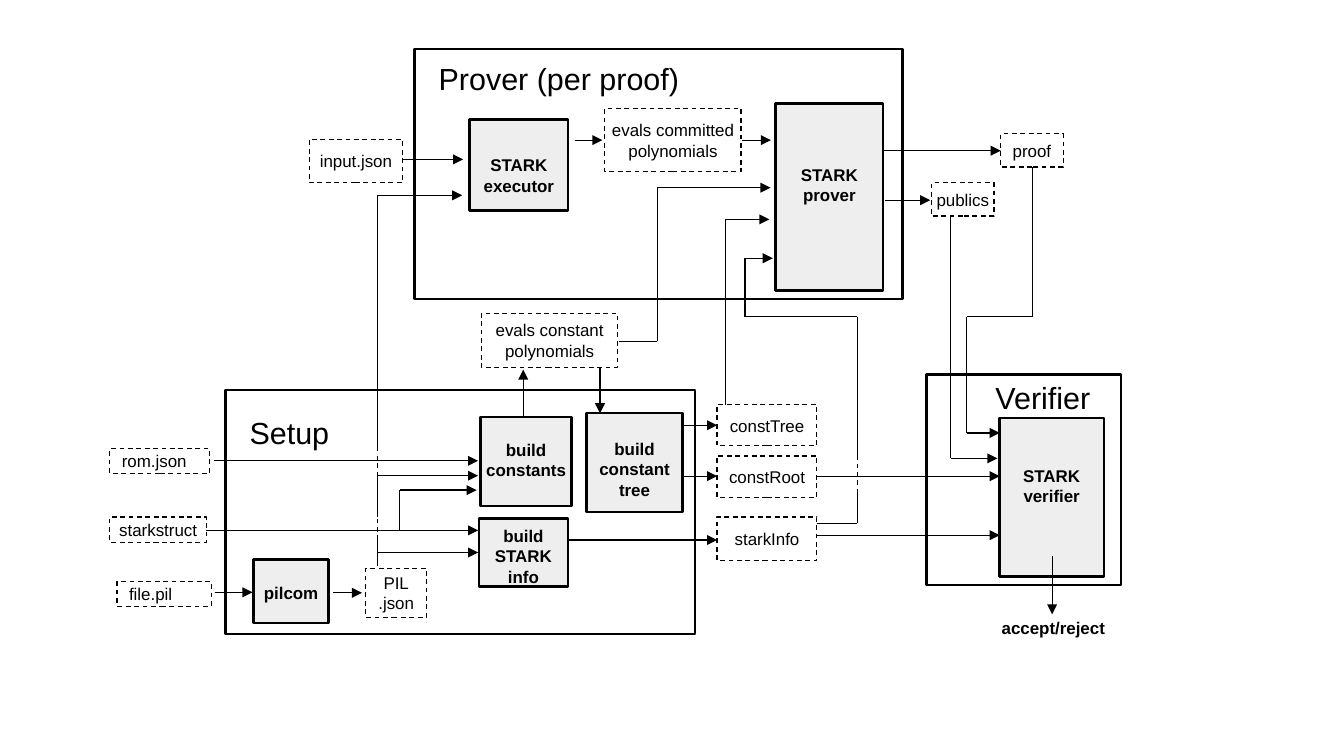
from itertools import pairwise

from lxml import etree
from pptx import Presentation
from pptx import util as u
from pptx.dml import color
from pptx.enum import dml, shapes, text
from pptx.oxml import ns

INK, GREY = "000000", "EEEEEE"
THIN, THICK = 0.71, 1.45
LEFT, MID = text.PP_ALIGN.LEFT, text.PP_ALIGN.CENTER


def tint(part, code):
    part.rgb = color.RGBColor.from_string(code)


def draw(line, width, dash=False):
    line.fill.solid()
    tint(line.fill.fore_color, INK)
    line.width = u.Pt(width)
    if dash:
        line.dash_style = dml.MSO_LINE.DASH


def write(frame, words, size=10, bold=False, align=MID):
    """Fill a text frame, one paragraph for each line of words."""
    frame.text = words
    for par in frame.paragraphs:
        par.alignment = align
        par.font.name = "Arial"
        par.font.size = u.Pt(size)
        par.font.bold = bold
        tint(par.font.color, INK)


def rect(page, box, width, dash=False, fill=None):
    shape = page.shapes.add_shape(shapes.MSO_SHAPE.RECTANGLE, *map(u.Cm, box))
    shape.shadow.inherit = False
    if fill:
        shape.fill.solid()
        tint(shape.fill.fore_color, fill)
    else:
        shape.fill.background()
    draw(shape.line, width, dash)
    return shape


def data(page, words, *box, align=MID):
    """Dashed box for a file or value."""
    frame = rect(page, box, THIN, dash=True).text_frame
    frame.word_wrap = False
    frame.vertical_anchor = text.MSO_ANCHOR.MIDDLE
    write(frame, words, align=align)


def step(page, words, drop, *box):
    """Grey box for a program, its text starting drop cm below its top."""
    frame = rect(page, box, THICK, fill=GREY).text_frame
    frame.word_wrap = True
    frame.vertical_anchor = text.MSO_ANCHOR.TOP
    frame.margin_left = frame.margin_right = frame.margin_bottom = 0
    frame.margin_top = u.Cm(drop)
    write(frame, words, bold=True)


def label(page, words, box, size, bold=False):
    frame = page.shapes.add_textbox(*map(u.Cm, box)).text_frame
    frame.word_wrap = True
    write(frame, words, size, bold, LEFT)


def route(page, *stops, dash=False, arrow=True):
    """Join the stops with straight lines, with an arrowhead at the last."""
    for start, end in pairwise(stops):
        link = page.shapes.add_connector(
            shapes.MSO_CONNECTOR.STRAIGHT, *map(u.Cm, start + end))
        draw(link.line, THIN, dash)
        etree.SubElement(link._element.spPr, ns.qn("a:effectLst"))
    if arrow:
        tail = etree.SubElement(link.line._get_or_add_ln(), ns.qn("a:tailEnd"))
        tail.set("type", "triangle")


def prover(page, x, y, w, h):
    rect(page, (x, y, w, h), THICK)
    label(page, "Prover (per proof)", (x + 0.25, y + 0.1, 7, 1), 18)
    step(page, "STARK\nexecutor", 0.74, x + 1.14, y + 1.47, 2.06, 1.9)
    data(page, "evals committed\npolynomials", x + 3.96, y + 1.24, 2.84, 1.32)
    step(page, "STARK\nprover", 1.27, x + 7.52, y + 1.14, 2.24, 3.89)
    for start, end in ((3.33, 3.91), (6.81, 7.42)):
        route(page, (x + start, y + 1.9), (x + end, y + 1.9))


def setup(page, x, y, w, h):
    rect(page, (x, y, w, h), THICK)
    label(page, "Setup", (x + 0.25, y + 0.38, 3.5, 1), 18)
    step(page, "pilcom", 0.48, x + 0.58, y + 3.53, 1.57, 1.32)
    data(page, "PIL\n.json", x + 2.92, y + 3.71, 1.27, 1.02)
    step(page, "build\nSTARK\ninfo", 0.15, x + 5.28, y + 2.67, 1.85, 1.42)
    step(page, "build constants", 0.46, x + 5.31, y + 0.56, 1.9, 1.85)
    step(page, "build constant\ntree", 0.53, x + 7.52, y + 0.48, 2, 2.06)
    route(page, (x + 2.24, y + 4.22), (x + 2.84, y + 4.22))


def checker(page, x, y, w, h):
    rect(page, (x, y, w, h), THICK)
    label(page, "Verifier", (x + 1.19, y - 0.03, 2.8, 1), 18)
    step(page, "STARK\nverifier", 0.99, x + 1.52, y + 0.91, 2.18, 3.3)
    route(page, (x + 2.62, y + 3.78), (x + 2.62, y + 5))
    label(page, "accept/reject", (x + 1.32, y + 4.95, 3, 0.64), 10, True)


def files(page):
    data(page, "input.json", 6.45, 2.9, 1.93, 0.91)
    data(page, "rom.json", 2.29, 9.35, 2.08, 0.51, align=LEFT)
    data(page, "starkstruct", 2.29, 10.77, 2.01, 0.53)
    data(page, "file.pil", 2.44, 12.12, 1.96, 0.51, align=LEFT)


def results(page):
    data(page, "evals constant\npolynomials", 10.03, 6.53, 2.84, 1.12)
    data(page, "constTree", 14.94, 8.43, 2.08, 0.86)
    data(page, "constRoot", 14.94, 9.5, 2.08, 0.86)
    data(page, "starkInfo", 14.94, 10.77, 2.08, 0.91)
    data(page, "proof", 20.85, 2.79, 1.3, 0.69)
    data(page, "publics", 19.41, 3.81, 1.3, 0.69)


def flows(page):
    """Arrows that cross from one region to another."""
    across = (
        (8.38, 9.65, 3.32), (4.45, 9.96, 9.6), (4.29, 9.96, 11.05),
        (4.47, 5.26, 12.34), (7.87, 9.96, 9.91), (7.87, 9.96, 11.51),
        (14.22, 14.94, 8.86), (14.22, 14.94, 9.92), (11.84, 14.94, 11.25),
        (17.02, 20.83, 9.92), (17.02, 20.83, 11.15),
        (18.42, 20.85, 3.14), (18.44, 19.38, 4.17))
    for start, end, y in across:
        route(page, (start, y), (end, y))

    route(page, (10.9, 8.69), (10.9, 7.7))
    route(page, (12.5, 7.65), (12.5, 8.61))
    route(page, (8.33, 11.05), (8.33, 10.21), (9.93, 10.21))
    route(page, (12.9, 7.11), (13.69, 7.11), (13.69, 3.91), (16.05, 3.91))
    route(page, (15.11, 8.43), (15.11, 4.57), (16.03, 4.57))
    route(page, (19.81, 4.5), (19.81, 9.55), (20.78, 9.55))
    route(page, (21.51, 3.48), (21.51, 6.6), (20.14, 6.6), (20.14, 9.02),
          (20.83, 9.02))

    # PIL and starkInfo lines are dashed where they pass other flows
    pil, info = 7.87, 17.86
    spans = ((pil, 11.79, 11.23, False), (pil, 11.25, 10.82, True),
             (pil, 10.77, 9.93, False), (pil, 9.93, 9.5, True),
             (info, 10.9, 10.19, False), (info, 10.11, 9.37, True))
    for x, start, end, dash in spans:
        route(page, (x, start), (x, end), dash=dash, arrow=False)
    route(page, (pil, 9.4), (pil, 4.07), (9.63, 4.07))
    route(page, (17.02, 10.9), (info, 10.9), arrow=False)
    route(page, (info, 9.55), (info, 6.6), (15.52, 6.6), (15.52, 5.38),
          (16.1, 5.38))


def main():
    deck = Presentation()
    deck.slide_width, deck.slide_height = u.Cm(28), u.Cm(15.75)
    page = deck.slides.add_slide(deck.slide_layouts[6])
    prover(page, 8.64, 1.02, 10.16, 5.21)
    setup(page, 4.7, 8.13, 9.78, 5.08)
    checker(page, 19.3, 7.8, 4.06, 4.39)
    files(page)
    results(page)
    flows(page)
    deck.save("out.pptx")


if __name__ == "__main__":
    main()
